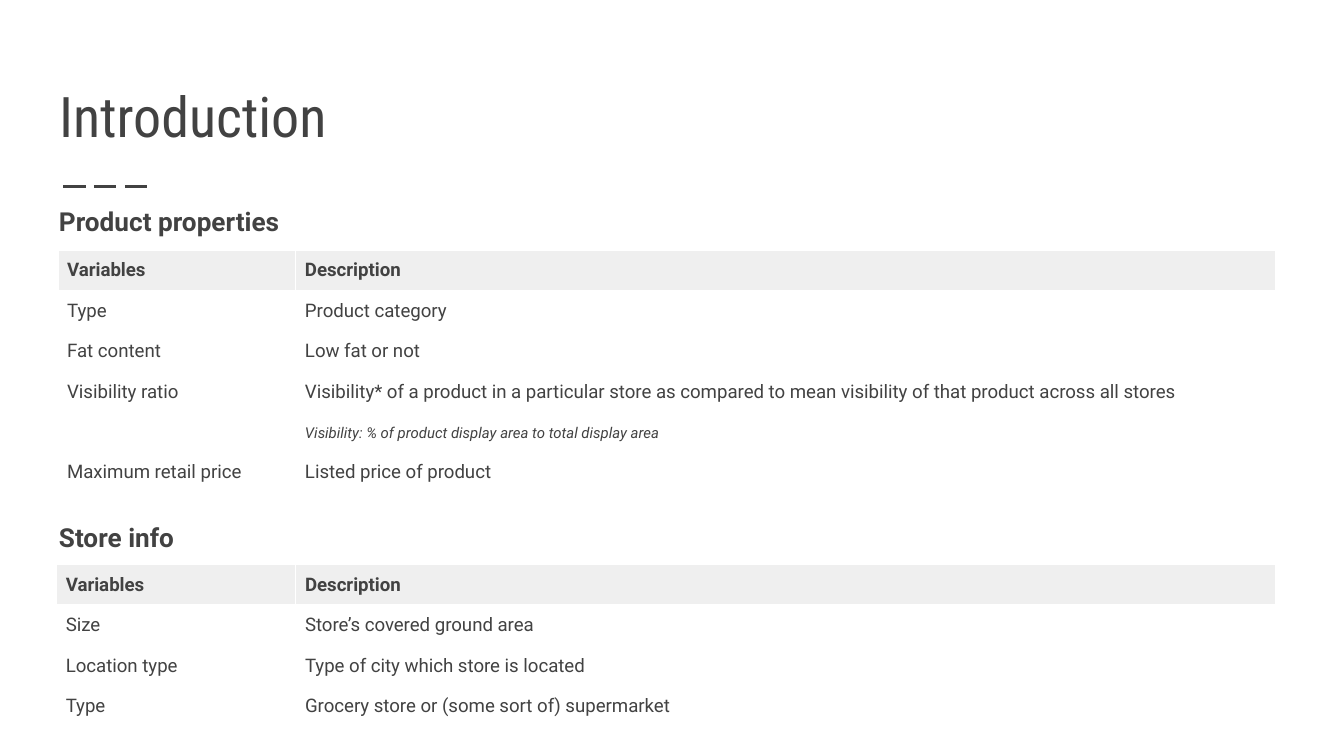
from lxml import etree
from pptx import Presentation
from pptx.dml.color import RGBColor
from pptx.enum.dml import MSO_LINE
from pptx.enum.shapes import MSO_CONNECTOR
from pptx.enum.text import MSO_ANCHOR, MSO_AUTO_SIZE, PP_ALIGN
from pptx.oxml.ns import qn
from pptx.util import Inches, Pt

LONG_DASH = MSO_LINE.LONG_DASH
STRAIGHT = MSO_CONNECTOR.STRAIGHT
BOTTOM, TOP = MSO_ANCHOR.BOTTOM, MSO_ANCHOR.TOP
NO_AUTOFIT = MSO_AUTO_SIZE.NONE
GROW = MSO_AUTO_SIZE.SHAPE_TO_FIT_TEXT
LEFT = PP_ALIGN.LEFT

INK = RGBColor(0x42, 0x42, 0x42)
HEADER_GREY = RGBColor(0xEF, 0xEF, 0xEF)
BORDER_WHITE = RGBColor(0xFF, 0xFF, 0xFF)

TITLE_FONT = {"name": "Roboto Condensed", "size": Pt(30)}
HEADING_FONT = {"name": "Roboto", "size": Pt(14), "bold": True}
HEADER_FONT = {"name": "Roboto", "size": Pt(10), "bold": True}
BODY_FONT = {"name": "Roboto", "size": Pt(10), "bold": False}
NOTE_FONT = {"name": "Roboto", "size": Pt(8), "bold": False, "italic": True}

MARGINS = ("margin_left", "margin_right", "margin_top", "margin_bottom")
ROW_HEIGHT = 0.3
NOTE_ROW_HEIGHT = 0.59
NOTE_GAP = Pt(11.7)
DESCRIPTION_LEFT, TABLE_RIGHT = 2.2, 9.49

HEADER = ("Variables", "Description")
PRODUCT_ROWS = [
    HEADER,
    ("Type", "Product category"),
    ("Fat content", "Low fat or not"),
    ("Visibility ratio",
     "Visibility* of a product in a particular store as compared to mean "
     "visibility of that product across all stores"),
    ("Maximum retail price", "Listed price of product"),
]
VISIBILITY_ROW = 3
VISIBILITY_NOTE = "Visibility: % of product display area to total display area"
STORE_ROWS = [
    HEADER,
    ("Size", "Store’s covered ground area"),
    ("Location type", "Type of city which store is located"),
    ("Type", "Grocery store or (some sort of) supermarket"),
]


def write(paragraph, text, font_format):
    paragraph.alignment = LEFT
    run = paragraph.add_run()
    run.text = text
    for name, value in font_format.items():
        setattr(run.font, name, value)
    run.font.color.rgb = INK


def fill_frame(frame, text, font_format, anchor, auto_size):
    frame_format = {"word_wrap": True, "vertical_anchor": anchor,
                    "auto_size": auto_size}
    frame_format.update(dict.fromkeys(MARGINS, Inches(0.1)))
    for name, value in frame_format.items():
        setattr(frame, name, value)
    write(frame.paragraphs[0], text, font_format)


def add_title(slide, text):
    title = slide.shapes.title
    title.left, title.top = Inches(0.34), Inches(0.41)
    title.width, title.height = Inches(9.32), Inches(0.8)
    fill_frame(title.text_frame, text, TITLE_FONT, BOTTOM, NO_AUTOFIT)


def add_dashed_rule(slide):
    rule = slide.shapes.add_connector(
        STRAIGHT, Inches(0.47), Inches(1.39), Inches(1.14), Inches(1.39))
    rule.line.color.rgb = INK
    rule.line.width = Pt(1.5)
    rule.line.dash_style = LONG_DASH
    etree.SubElement(rule._element.spPr, qn("a:effectLst"))


def add_heading(slide, text, top):
    heading = slide.shapes.add_textbox(
        Inches(0.34), Inches(top), Inches(8.99), Inches(0.44))
    fill_frame(heading.text_frame, text, HEADING_FONT, TOP, GROW)


def add_borders(cell):
    properties = cell._tc.get_or_add_tcPr()
    for side in ("a:lnL", "a:lnR", "a:lnT", "a:lnB"):
        border = etree.SubElement(properties, qn(side), w=str(Pt(1)))
        fill = etree.SubElement(border, qn("a:solidFill"))
        etree.SubElement(fill, qn("a:srgbClr"), val=str(BORDER_WHITE))


def format_cell(cell, text, is_header):
    for margin in MARGINS:
        setattr(cell, margin, Inches(0.07))
    cell.vertical_anchor = TOP
    add_borders(cell)
    if is_header:
        cell.fill.solid()
        cell.fill.fore_color.rgb = HEADER_GREY
    else:
        cell.fill.background()
    write(cell.text_frame.paragraphs[0], text,
          HEADER_FONT if is_header else BODY_FONT)


def add_variable_table(slide, rows, left, top):
    table = slide.shapes.add_table(
        len(rows), len(HEADER), Inches(left), Inches(top),
        Inches(TABLE_RIGHT - left), Inches(ROW_HEIGHT * len(rows))).table
    table.horz_banding = False
    table.first_row = False
    table.columns[0].width = Inches(DESCRIPTION_LEFT - left)
    table.columns[1].width = Inches(TABLE_RIGHT - DESCRIPTION_LEFT)
    for row_index, row in enumerate(rows):
        for column_index, text in enumerate(row):
            format_cell(table.cell(row_index, column_index), text,
                        row_index == 0)
    return table


def add_note(cell, text):
    note = cell.text_frame.add_paragraph()
    note.space_before = NOTE_GAP
    write(note, text, NOTE_FONT)


def main():
    deck = Presentation()
    deck.slide_width = Inches(10)
    deck.slide_height = deck.slide_width * 9 // 16
    slide = deck.slides.add_slide(deck.slide_layouts[5])

    add_dashed_rule(slide)
    add_title(slide, "Introduction")
    products = add_variable_table(slide, PRODUCT_ROWS, 0.43, 1.86)
    add_note(products.cell(VISIBILITY_ROW, 1), VISIBILITY_NOTE)
    products.rows[VISIBILITY_ROW].height = Inches(NOTE_ROW_HEIGHT)
    add_variable_table(slide, STORE_ROWS, 0.42, 4.2)
    add_heading(slide, "Product properties", 1.43)
    add_heading(slide, "Store info", 3.78)

    deck.save("out.pptx")


if __name__ == "__main__":
    main()
